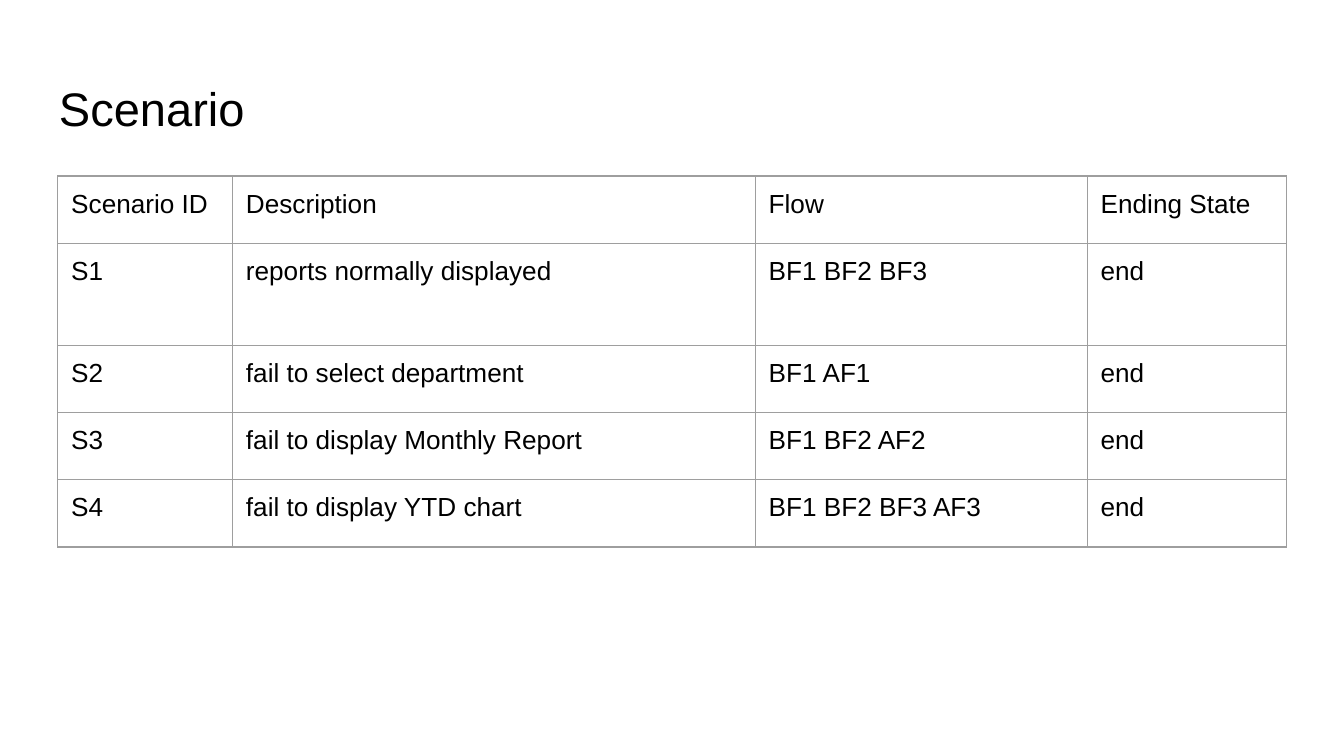
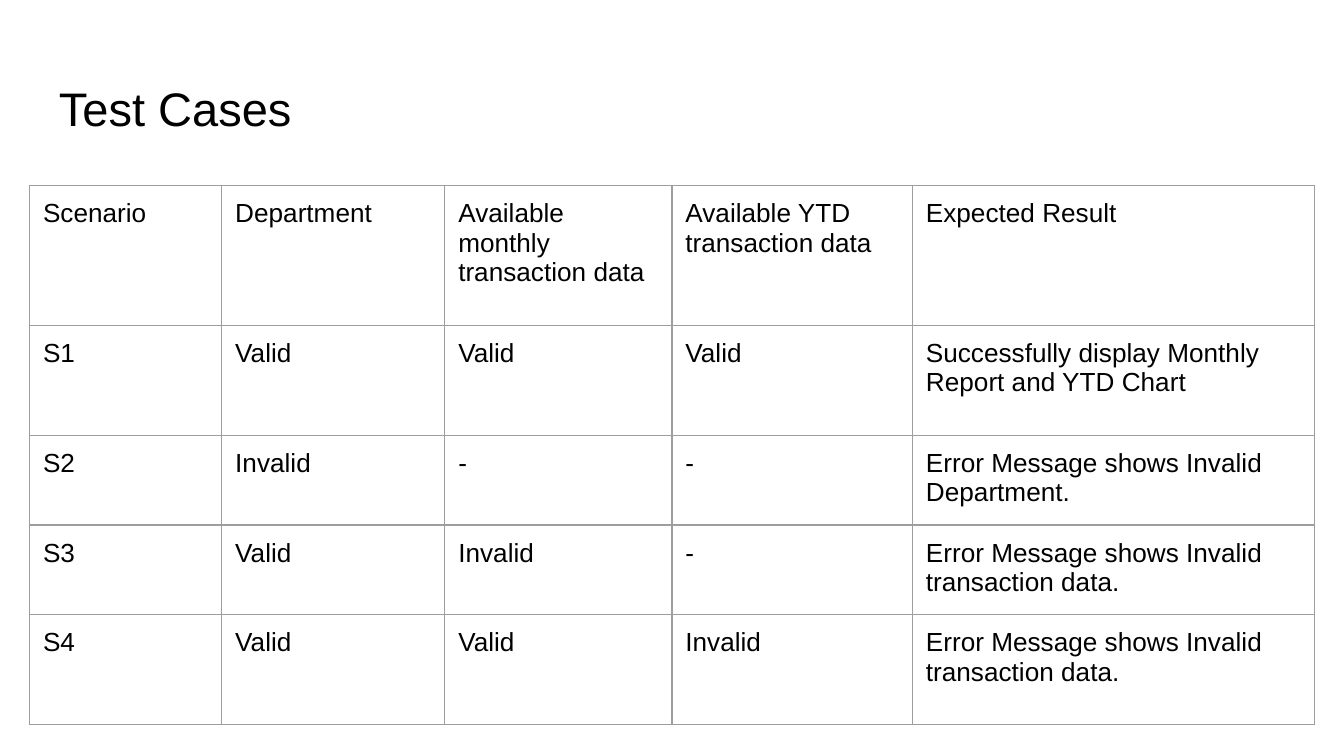
from dataclasses import dataclass

from lxml.etree import SubElement
from pptx import Presentation
from pptx.dml.color import RGBColor
from pptx.enum.text import MSO_ANCHOR
from pptx.oxml.ns import qn
from pptx.slide import Slide
from pptx.table import _Cell as Cell
from pptx.text.text import TextFrame
from pptx.util import Inches, Pt


@dataclass(frozen=True)
class Theme:
    font: str = "Arial"
    ink: str = "000000"
    paper: str = "FFFFFF"
    rule: str = "9E9E9E"
    rule_size: float = 0.75
    title_size: float = 25.2
    cell_size: float = 14
    inset: float = 0.1


@dataclass(frozen=True)
class Page:
    title: str
    left: float
    top: float
    widths: list[float]
    heights: list[float]
    rows: list[list[str]]


THEME = Theme()
FRAME = Inches(3.28)

PAGES = [
    Page(
        "Scenario", 0.43, 1.31,
        [1.3, 3.89, 2.47, 1.48],
        [0.5, 0.76, 0.5, 0.5, 0.5],
        [
            ["Scenario ID", "Description", "Flow", "Ending State"],
            ["S1", "reports normally displayed", "BF1 BF2 BF3", "end"],
            ["S2", "fail to select department ", "BF1 AF1", "end"],
            ["S3", "fail to display Monthly Report", "BF1 BF2 AF2", "end"],
            ["S4", "fail to display YTD chart", "BF1 BF2 BF3 AF3", "end"],
        ],
    ),
    Page(
        "Test Cases", 0.22, 1.38,
        [1.43, 1.66, 1.69, 1.79, 2.99],
        [1.04, 0.82, 0.61, 0.61, 0.82],
        [
            ["Scenario", "Department", "Available monthly transaction data ",
             "Available YTD transaction data ", "Expected Result"],
            ["S1", "Valid", "Valid", "Valid",
             "Successfully display Monthly Report and YTD Chart"],
            ["S2", "Invalid", "-", "-",
             "Error Message shows Invalid Department."],
            ["S3", "Valid", "Invalid", "-",
             "Error Message shows Invalid transaction data."],
            ["S4", "Valid", "Valid", "Invalid",
             "Error Message shows Invalid transaction data."],
        ],
    ),
]


def write(frame: TextFrame, text: str, size: float) -> None:
    frame.text = text
    for run in frame.paragraphs[0].runs:
        run.font.name = THEME.font
        run.font.size = Pt(size)
        run.font.color.rgb = RGBColor.from_string(THEME.ink)


def pad(box: TextFrame | Cell) -> None:
    box.margin_left = box.margin_right = Inches(THEME.inset)
    box.margin_top = box.margin_bottom = Inches(THEME.inset)


def frame_cell(cell: Cell) -> None:
    props = cell._tc.get_or_add_tcPr()
    for side in ("lnL", "lnR", "lnT", "lnB"):
        line = SubElement(props, qn(f"a:{side}"), w=str(Pt(THEME.rule_size)))
        fill = SubElement(line, qn("a:solidFill"))
        SubElement(fill, qn("a:srgbClr"), val=THEME.rule)
    SubElement(props, qn("a:noFill"))


def add_title(slide: Slide, text: str) -> None:
    box = slide.shapes.add_textbox(
        Inches(0.34), Inches(0.49), Inches(9.32), Inches(0.63))
    frame = box.text_frame
    frame.word_wrap = True
    frame.vertical_anchor = MSO_ANCHOR.MIDDLE
    pad(frame)
    write(frame, text, THEME.title_size)


def add_grid(slide: Slide, page: Page) -> None:
    shape = slide.shapes.add_table(
        len(page.heights), len(page.widths),
        Inches(page.left), Inches(page.top), FRAME, FRAME)
    table = shape.table
    table.first_row = table.horz_banding = False
    for column, width in zip(table.columns, page.widths):
        column.width = Inches(width)
    for row, height, texts in zip(table.rows, page.heights, page.rows):
        row.height = Inches(height)
        for cell, text in zip(row.cells, texts):
            pad(cell)
            write(cell.text_frame, text, THEME.cell_size)
            frame_cell(cell)
    shape.width = shape.height = FRAME


def main() -> None:
    deck = Presentation()
    deck.slide_width = Inches(10)
    deck.slide_height = deck.slide_width * 9 // 16
    for page in PAGES:
        slide = deck.slides.add_slide(deck.slide_layouts[6])
        back = slide.background.fill
        back.solid()
        back.fore_color.rgb = RGBColor.from_string(THEME.paper)
        add_title(slide, page.title)
        add_grid(slide, page)
    deck.save("out.pptx")


main()
